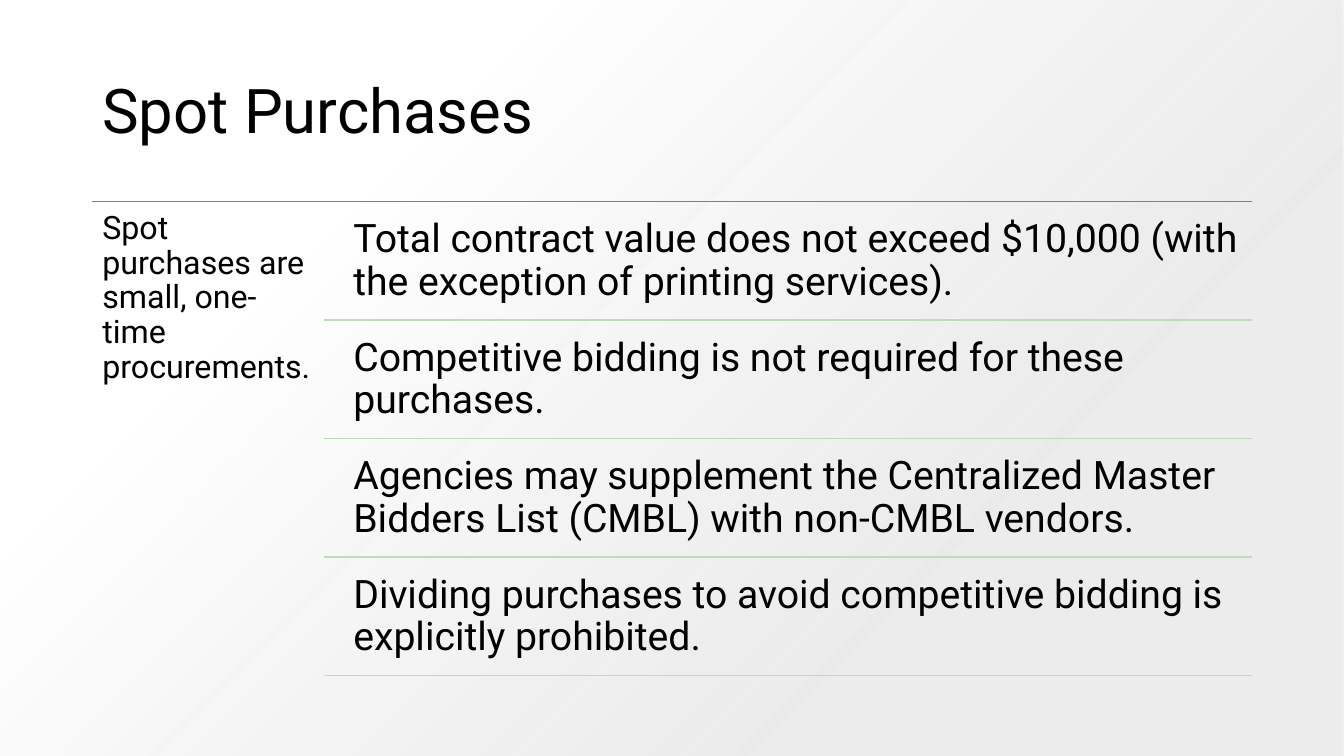
import dataclasses

import lxml.etree
import pptx
import pptx.dml.color
import pptx.enum.shapes
import pptx.enum.text
import pptx.oxml
import pptx.oxml.ns
import pptx.util

Pt = pptx.util.Pt
ANCHOR = pptx.enum.text.MSO_ANCHOR
NAMESPACE = pptx.oxml.ns.nsdecls("a")


@dataclasses.dataclass(frozen=True)
class Theme:
    """Colours, font and type sizes of the slide."""
    font: str = "Roboto"
    ink: str = "000000"
    paper: str = "FFFFFF"
    haze: str = "E8E8E8"
    top_rule: str = "4EA72E"
    row_rule: str = "C2D9BE"
    title_size: float = 44
    summary_size: float = 23
    rule_size: float = 28


THEME = Theme()
SUMMARY = "Spot purchases are small, one-time procurements."
CONDITIONS = [
    "Total contract value does not exceed $10,000 (with the exception of printing services).",
    "Competitive bidding is not required for these purchases.",
    "Agencies may supplement the Centralized Master Bidders List (CMBL) with non-CMBL vendors.",
    "Dividing purchases to avoid competitive bidding is explicitly prohibited.",
]


def rgb(value):
    """Turn a hex string into a colour."""
    return pptx.dml.color.RGBColor.from_string(value)


def write(holder, text, *, size, color=THEME.ink, inset=7.2, anchor=ANCHOR.TOP):
    """Write one formatted paragraph into a shape that holds text."""
    frame = holder.text_frame
    frame.text = text
    frame.word_wrap = True
    frame.auto_size = pptx.enum.text.MSO_AUTO_SIZE.NONE
    frame.vertical_anchor = anchor
    frame.margin_left = frame.margin_right = Pt(inset)
    frame.margin_top = frame.margin_bottom = Pt(inset)
    paragraph = frame.paragraphs[0]
    paragraph.alignment = pptx.enum.text.PP_ALIGN.LEFT
    paragraph.line_spacing = 0.9
    paragraph.font.name = THEME.font
    paragraph.font.size = Pt(size)
    paragraph.font.color.rgb = rgb(color)


def add_text(slide, box, text, **style):
    """Place a text box at the given left, top, width and height."""
    write(slide.shapes.add_textbox(*map(Pt, box)), text, **style)


def add_rule(slide, left, right, top, color, shadow=False):
    """Draw a horizontal rule, with a soft shadow if asked."""
    rule = slide.shapes.add_connector(
        pptx.enum.shapes.MSO_CONNECTOR.STRAIGHT, Pt(left), Pt(top), Pt(right), Pt(top))
    rule.line.color.rgb = rgb(color)
    rule.line.width = Pt(1)
    effects = lxml.etree.SubElement(rule._element.spPr, pptx.oxml.ns.qn("a:effectLst"))
    if shadow:
        effects.append(pptx.oxml.parse_xml(
            f'<a:outerShdw {NAMESPACE} blurRad="{Pt(4.5)}" dist="{Pt(1.5)}" dir="5400000">'
            f'<a:srgbClr val="{THEME.ink}"><a:alpha val="63000"/></a:srgbClr></a:outerShdw>'))


def add_backdrop(slide, box):
    """Fill the box with a haze that spreads from its bottom right corner."""
    backdrop = slide.shapes.add_shape(
        pptx.enum.shapes.MSO_SHAPE.RECTANGLE, *map(Pt, box))
    backdrop.shadow.inherit = False
    backdrop.line.fill.background()
    gradient = pptx.oxml.parse_xml(
        f'<a:gradFill {NAMESPACE} rotWithShape="1"><a:gsLst>'
        f'<a:gs pos="28000"><a:srgbClr val="{THEME.haze}"><a:alpha val="84000"/></a:srgbClr></a:gs>'
        f'<a:gs pos="74000"><a:srgbClr val="{THEME.paper}"/></a:gs></a:gsLst>'
        '<a:path path="circle"><a:fillToRect l="100000" t="100000"/></a:path></a:gradFill>')
    backdrop._element.spPr.find(pptx.oxml.ns.qn("a:prstGeom")).addnext(gradient)
    slide.shapes._spTree.insert(2, backdrop._element)


def add_title(slide, box, text):
    """Move the title placeholder into the box and fill it."""
    title = slide.shapes.title
    title.left, title.top, title.width, title.height = map(Pt, box)
    write(title, text, size=THEME.title_size, anchor=ANCHOR.MIDDLE)


def add_conditions(slide, box, summary, conditions):
    """Set a summary beside a column of ruled conditions."""
    left, top, width, height = box
    right = left + width
    column = left + width / 5
    text_left = column + 12.4
    gap = 4
    row_height = (height - gap) / len(conditions) - gap
    add_rule(slide, left, right, top, THEME.top_rule, shadow=True)
    add_text(slide, (left, top, width / 5, height), summary, size=THEME.summary_size)
    for index, condition in enumerate(conditions):
        row_top = top + gap + index * (row_height + gap)
        add_text(slide, (text_left, row_top, right - text_left, row_height),
                 condition, size=THEME.rule_size, inset=8.4)
        add_rule(slide, column, right, row_top + row_height, THEME.row_rule)


def main():
    """Build the slide and save it."""
    deck = pptx.Presentation()
    deck.slide_width, deck.slide_height = Pt(960), Pt(540)
    slide = deck.slides.add_slide(deck.slide_layouts[5])
    add_backdrop(slide, (0, 0, 960, 540))
    add_title(slide, (66, 28.8, 828, 104.4), "Spot Purchases")
    add_conditions(slide, (66, 144, 828, 342.6), SUMMARY, CONDITIONS)
    deck.save("out.pptx")


if __name__ == "__main__":
    main()
